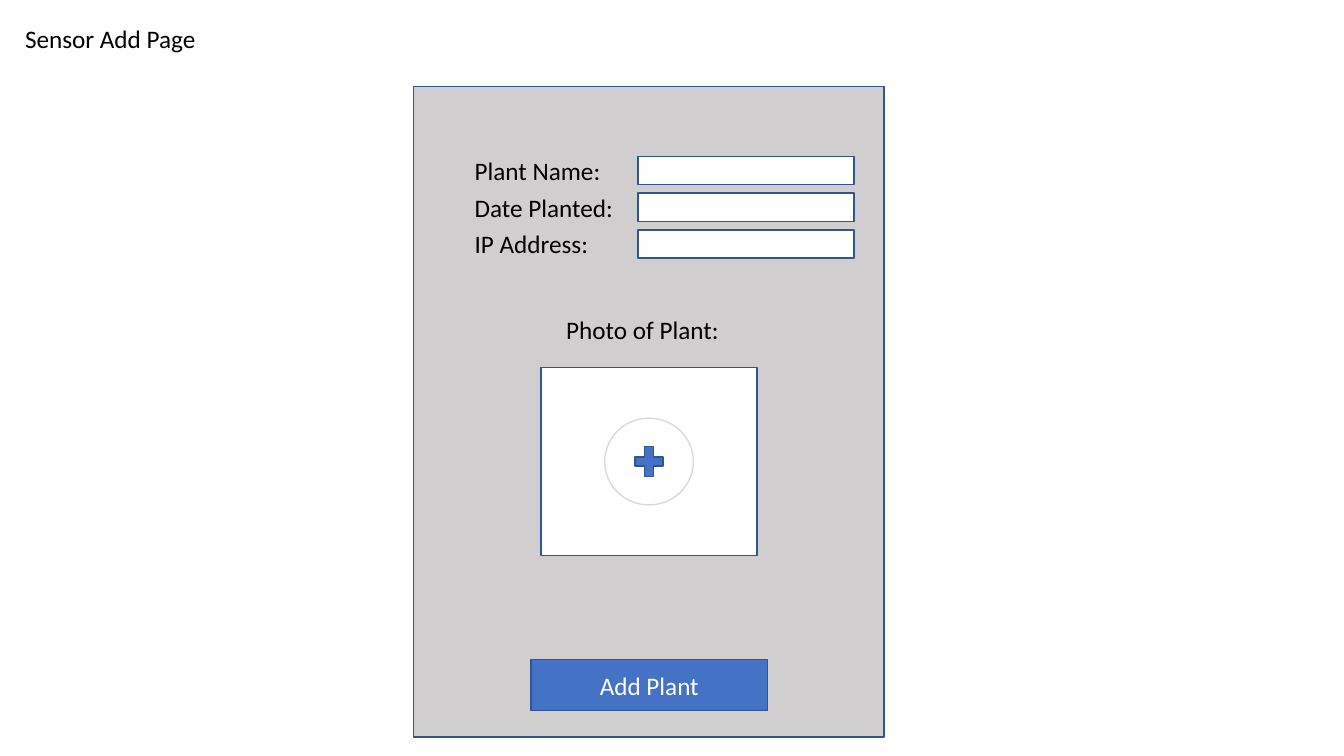
from pptx import Presentation
from pptx import util as u
from pptx.dml.color import RGBColor
from pptx.enum import shapes, text

COLORS = {
    "panel": "D0CECE",
    "outline": "325491",
    "accent": "4472C4",
    "ring": "D9D9D9",
    "white": "FFFFFF",
    "black": "000000",
}
SHAPE = shapes.MSO_SHAPE


class Wireframe:
    font = "Calibri"
    size = 18
    line_width = 1

    def __init__(self, page):
        self.page = page

    def color(self, name):
        return RGBColor.from_string(COLORS[name])

    def set_words(self, box, words, color, align):
        para = box.text_frame.paragraphs[0]
        para.text = words
        para.alignment = align
        para.font.name = self.font
        para.font.size = u.Pt(self.size)
        para.font.color.rgb = self.color(color)

    def label(self, words, left, top, width):
        box = self.page.shapes.add_textbox(*map(u.Pt, (left, top, width, 29)))
        box.text_frame.word_wrap = True
        box.text_frame.auto_size = text.MSO_AUTO_SIZE.SHAPE_TO_FIT_TEXT
        self.set_words(box, words, "black", text.PP_ALIGN.LEFT)

    def shape(self, bounds, fill, line="outline", kind=SHAPE.RECTANGLE, group=None):
        parent = group or self.page
        shape = parent.shapes.add_shape(kind, *map(u.Pt, bounds))
        shape.shadow.inherit = False
        shape.fill.solid()
        shape.fill.fore_color.rgb = self.color(fill)
        shape.line.color.rgb = self.color(line)
        shape.line.width = u.Pt(self.line_width)
        return shape

    def button(self, words, bounds):
        button = self.shape(bounds, "accent")
        button.text_frame.vertical_anchor = text.MSO_ANCHOR.MIDDLE
        self.set_words(button, words, "white", text.PP_ALIGN.CENTER)

    def photo_picker(self, bounds):
        left, top, width, height = bounds
        center_x, center_y = left + width / 2, top + height / 2
        group = self.page.shapes.add_group_shape()

        def centered(across, down):
            return center_x - across / 2, center_y - down / 2, across, down

        self.shape(bounds, "white", group=group)
        self.shape(centered(63.4, 62), "white", "ring", SHAPE.OVAL, group)
        self.shape(centered(27.4, 28.8), "accent", kind=SHAPE.MATH_PLUS, group=group)


def main():
    deck = Presentation()
    deck.slide_width, deck.slide_height = u.Pt(960), u.Pt(540)
    page = deck.slides.add_slide(deck.slide_layouts[6])
    wireframe = Wireframe(page)

    wireframe.shape((295.4, 62, 336, 464.4), "panel")
    wireframe.label("Sensor Add Page", 10.8, 13, 206.6)

    row_pitch = 26.2
    for row, words in enumerate(["Plant Name:", "Date Planted:", "IP Address:"]):
        wireframe.label(words, 331.9, 107.3 + row * row_pitch, 116.6)
        wireframe.shape((455.8, 111.8 + row * row_pitch, 154.2, 20.2), "white")

    wireframe.label("Photo of Plant:", 397.4, 221, 132.5)
    wireframe.photo_picker((386.5, 262.6, 154.2, 134.2))
    wireframe.button("Add Plant", (379.2, 471, 169.2, 36.7))

    deck.save("out.pptx")


if __name__ == "__main__":
    main()
